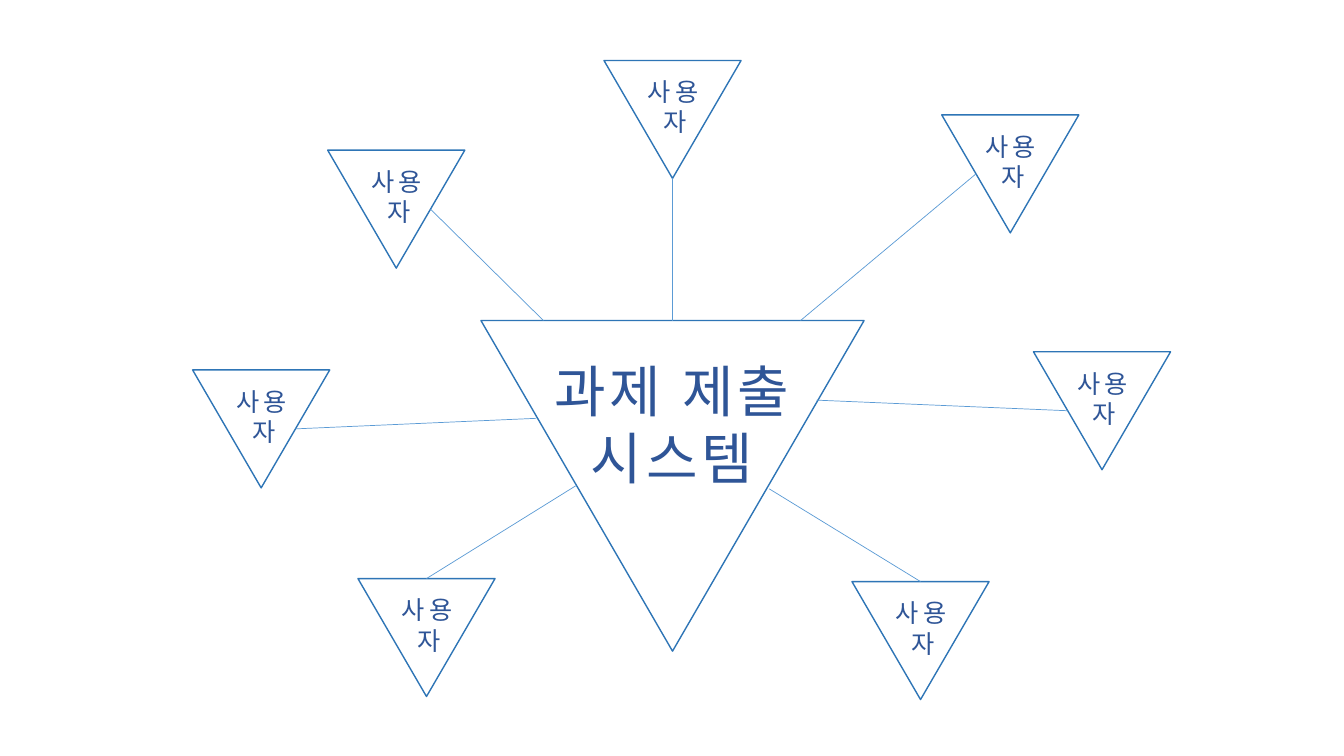
from dataclasses import dataclass

from lxml import etree
from pptx import Presentation
from pptx.dml.color import RGBColor
from pptx.enum.shapes import MSO_CONNECTOR, MSO_SHAPE
from pptx.enum.text import MSO_ANCHOR, PP_ALIGN
from pptx.oxml.ns import qn
from pptx.util import Inches, Pt

TRIANGLE = MSO_SHAPE.ISOSCELES_TRIANGLE
STRAIGHT = MSO_CONNECTOR.STRAIGHT
CENTER = PP_ALIGN.CENTER
TOP = MSO_ANCHOR.TOP

COLORS = {"fill": "FFFFFF", "outline": "2E75B6", "text": "2F5597", "link": "5B9BD5"}
FONT = "Noto Sans CJK KR"
USER_W, USER_H = 1.36, 1.17
# Where a link meets a user triangle, as fractions of its width and height
ANCHORS = {"left": (0.25, 0.5), "right": (0.75, 0.5), "top": (0.5, 0), "tip": (0.5, 1)}


@dataclass
class Node:
    """A downward triangle and the text box laid over it."""
    x: float
    y: float
    w: float
    h: float
    label: tuple[float, float, float, float]
    lines: list[str]
    size: int


@dataclass
class User:
    """A user's place, the side its link leaves from and the link's hub end."""
    x: float
    y: float
    side: str
    hub_x: float
    hub_y: float

    def node(self) -> Node:
        """Return the triangle of this user."""
        label = (self.x + 0.245, self.y + 0.11, 0.92, 0.36)
        return Node(self.x, self.y, USER_W, USER_H, label, ["사용자"], 18)

    def link_start(self) -> tuple[float, float]:
        """Return the point where the link meets this user."""
        fx, fy = ANCHORS[self.side]
        return self.x + fx * USER_W, self.y + fy * USER_H


HUB = Node(4.77, 3.18, 3.8, 3.28, (5.33, 3.49, 2.67, 1.45), ["과제 제출", "시스템"], 40)
USERS = [
    User(3.25, 1.49, "right", 5.39, 3.18),
    User(8.45, 5.77, "top", 7.63, 4.85),
    User(9.34, 1.14, "left", 7.94, 3.18),
    User(3.55, 5.74, "top", 5.71, 4.82),
    User(10.25, 3.49, "left", 8.1, 3.97),
    User(5.99, 0.6, "tip", 6.67, 3.18),
    User(1.91, 3.67, "right", 5.32, 4.15),
]


def rgb(name: str) -> RGBColor:
    """Return a named colour."""
    return RGBColor.from_string(COLORS[name])


def add_node(s, node: Node) -> None:
    """Draw a triangle with its label as one group."""
    group = s.shapes.add_group_shape()
    box = [Inches(v) for v in (node.x, node.y, node.w, node.h)]
    sp = group.shapes.add_shape(TRIANGLE, *box)
    sp.rotation = 180
    sp.shadow.inherit = False
    sp.fill.solid()
    sp.fill.fore_color.rgb = rgb("fill")
    sp.line.color.rgb = rgb("outline")
    sp.line.width = Pt(1)

    tf = group.shapes.add_textbox(*[Inches(v) for v in node.label]).text_frame
    tf.word_wrap = True
    tf.vertical_anchor = TOP
    for i, line in enumerate(node.lines):
        p = tf.add_paragraph() if i else tf.paragraphs[0]
        p.alignment = CENTER
        r = p.add_run()
        r.text = line
        for key, value in {"size": Pt(node.size), "name": FONT}.items():
            setattr(r.font, key, value)
        r.font.color.rgb = rgb("text")
        rpr = r.font._element
        rpr.set("spc", "300")
        etree.SubElement(rpr, qn("a:ea")).set("typeface", FONT)


def add_link(s, user: User) -> None:
    """Draw the line from a user to the hub."""
    ends = (*user.link_start(), user.hub_x, user.hub_y)
    link = s.shapes.add_connector(STRAIGHT, *[Inches(v) for v in ends])
    link.line.color.rgb = rgb("link")
    link.line.width = Pt(0.5)
    etree.SubElement(link._element.spPr, qn("a:effectLst"))


def main() -> None:
    """Build the slide and save it."""
    prs = Presentation()
    prs.slide_width, prs.slide_height = Inches(13.33), Inches(7.5)
    s = prs.slides.add_slide(prs.slide_layouts[6])
    for node in [HUB, *(user.node() for user in USERS)]:
        add_node(s, node)
    for user in USERS:
        add_link(s, user)
    prs.save("out.pptx")


main()
